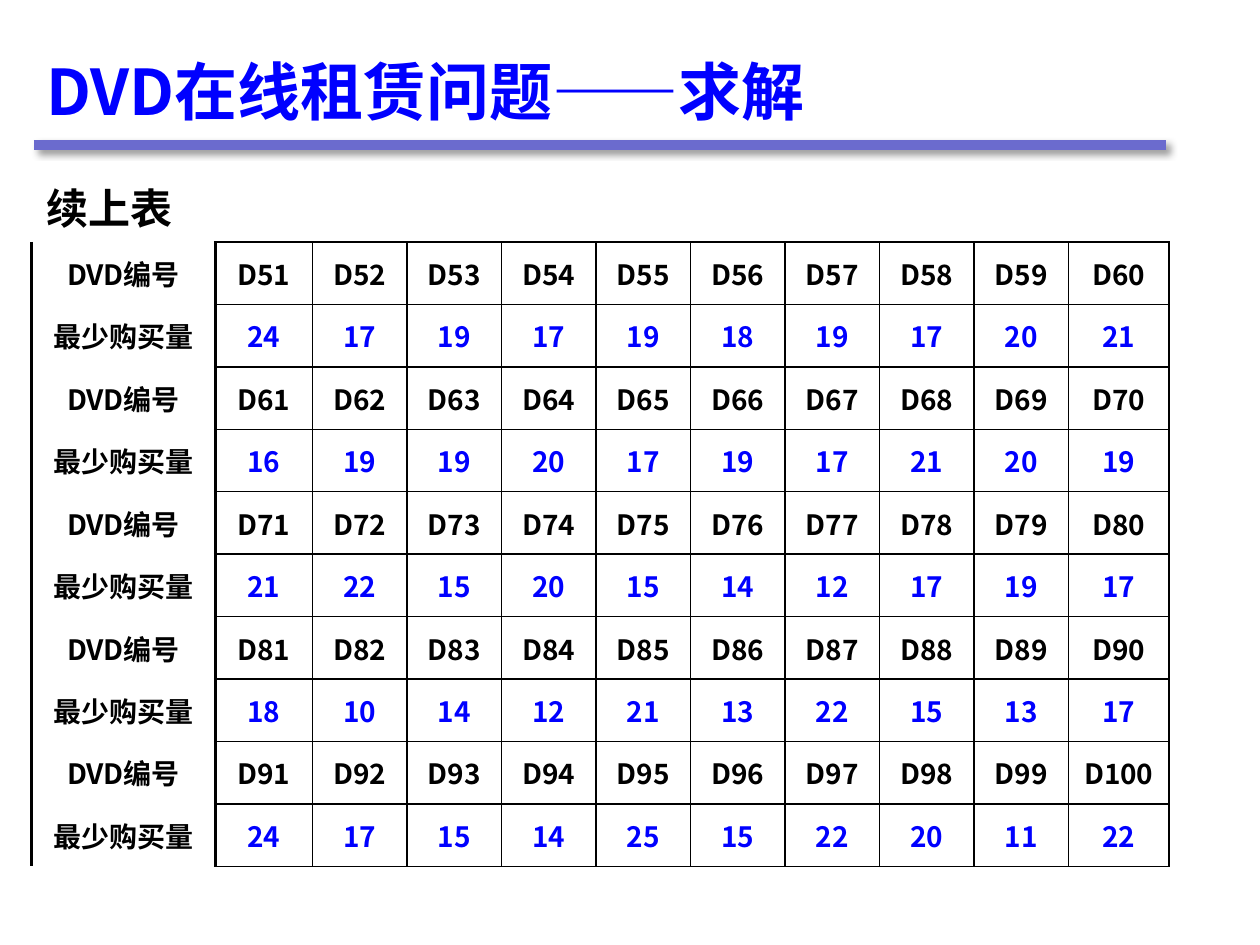
from lxml.etree import SubElement
from pptx import Presentation
from pptx.dml.color import RGBColor
from pptx.enum.shapes import MSO_CONNECTOR
from pptx.enum.text import MSO_ANCHOR, MSO_AUTO_SIZE, PP_ALIGN
from pptx.oxml import parse_xml
from pptx.oxml.ns import nsdecls, qn
from pptx.util import Inches, Pt

FONT = "Noto Sans CJK SC"
BLACK = RGBColor(0x00, 0x00, 0x00)
BLUE = RGBColor(0x00, 0x00, 0xFF)
VIOLET = RGBColor(0x6B, 0x6B, 0xCE)

FIRST_NUMBER = 51
MINIMUM_PURCHASES = [
    [24, 17, 19, 17, 19, 18, 19, 17, 20, 21],
    [16, 19, 19, 20, 17, 19, 17, 21, 20, 19],
    [21, 22, 15, 20, 15, 14, 12, 17, 19, 17],
    [18, 10, 14, 12, 21, 13, 22, 15, 13, 17],
    [24, 17, 15, 14, 25, 15, 22, 20, 11, 22],
]
COLUMN_WIDTHS = [1.46, 0.77] + [0.75] * 8 + [0.8]
ROW_HEIGHT = 0.496


def add_span(para, text, size, color):
    span = para.add_run()
    span.text = text
    span.font.size = Pt(size)
    span.font.bold = True
    span.font.name = FONT
    span.font.color.rgb = color
    SubElement(span.font._element, qn("a:ea"), typeface=FONT)


def add_text(page, text, left, top, width, height, size, color, wrap):
    box = page.shapes.add_textbox(Inches(left), Inches(top), Inches(width), Inches(height))
    frame = box.text_frame
    frame.word_wrap = wrap
    if not wrap:
        frame.auto_size = MSO_AUTO_SIZE.SHAPE_TO_FIT_TEXT
    add_span(frame.paragraphs[0], text, size, color)


def add_title_rule(page):
    rule = page.shapes.add_connector(
        MSO_CONNECTOR.STRAIGHT, Inches(0.27), Inches(1.15), Inches(9.25), Inches(1.15)
    )
    rule.line.color.rgb = VIOLET
    rule.line.width = Pt(6)
    rule._element.spPr.append(parse_xml(
        f'<a:effectLst {nsdecls("a")}>'
        f'<a:outerShdw blurRad="{Pt(4)}" dist="{Pt(3)}" dir="2700000" rotWithShape="0">'
        '<a:srgbClr val="000000"><a:alpha val="40000"/></a:srgbClr>'
        '</a:outerShdw></a:effectLst>'
    ))


def set_borders(cell, left, right, top, bottom):
    properties = cell._tc.get_or_add_tcPr()
    for side, width in zip("LRTB", (left, right, top, bottom)):
        border = SubElement(properties, qn(f"a:ln{side}"), w=str(Pt(width)))
        if width:
            fill = SubElement(border, qn("a:solidFill"))
            SubElement(fill, qn("a:srgbClr"), val=str(BLACK))
        else:
            SubElement(border, qn("a:noFill"))


def fill_cell(cell, text, color, column):
    if column == 0:
        set_borders(cell, 2, 2, 0, 0)
    else:
        set_borders(cell, 2 if column == 1 else 1, 1, 1, 1)
    cell.fill.background()
    cell.vertical_anchor = MSO_ANCHOR.MIDDLE
    para = cell.text_frame.paragraphs[0]
    para.alignment = PP_ALIGN.CENTER
    indent = Inches(0.38)
    properties = para._p.get_or_add_pPr()
    properties.set("marL", str(indent))
    properties.set("indent", str(-indent))
    add_span(para, text, 16, color)


def table_rows():
    for group, amounts in enumerate(MINIMUM_PURCHASES):
        start = FIRST_NUMBER + group * len(amounts)
        numbers = [f"D{start + offset}" for offset in range(len(amounts))]
        yield "DVD编号", numbers, BLACK
        yield "最少购买量", [str(amount) for amount in amounts], BLUE


def add_purchase_table(page):
    rows = list(table_rows())
    table = page.shapes.add_table(
        len(rows), len(COLUMN_WIDTHS), Inches(0.25), Inches(1.92),
        Inches(sum(COLUMN_WIDTHS)), Inches(ROW_HEIGHT * len(rows)),
    ).table
    table.first_row = False
    table.horz_banding = False
    for column, width in zip(table.columns, COLUMN_WIDTHS):
        column.width = Inches(width)
    for row, (label, values, color) in enumerate(rows):
        table.rows[row].height = Inches(ROW_HEIGHT)
        fill_cell(table.cell(row, 0), label, BLACK, 0)
        for column, value in enumerate(values, start=1):
            fill_cell(table.cell(row, column), value, color, column)


def main():
    deck = Presentation()
    deck.slide_width = Inches(10)
    deck.slide_height = Inches(7.5)
    page = deck.slides.add_slide(deck.slide_layouts[6])
    add_title_rule(page)
    add_text(page, "DVD在线租赁问题——求解", 0.27, 0.37, 6.43, 0.71, 36, BLUE, False)
    add_text(page, "续上表", 0.27, 1.4, 9, 4.95, 24, BLACK, True)
    add_purchase_table(page)
    deck.save("out.pptx")


if __name__ == "__main__":
    main()
